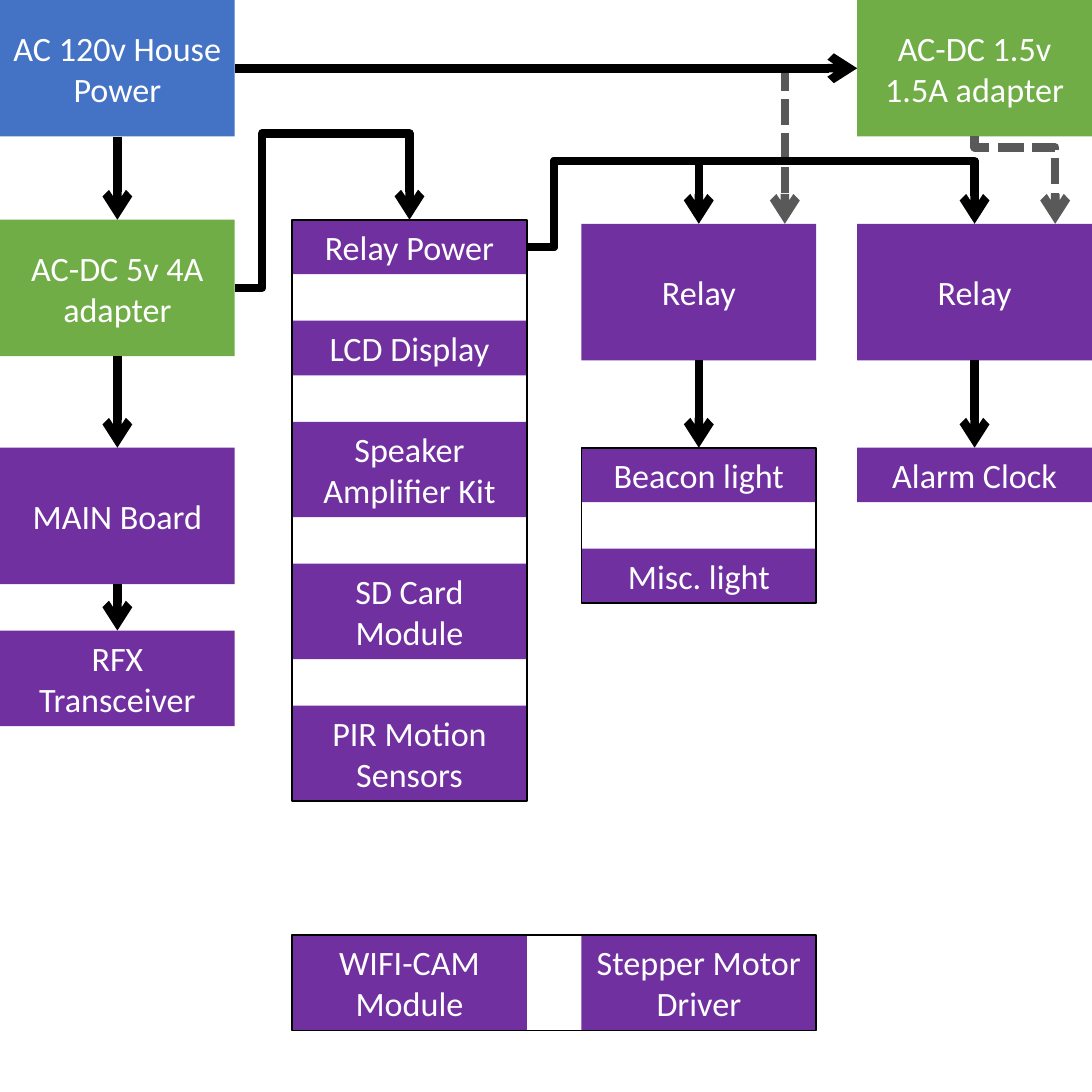
from lxml.etree import SubElement
from pptx import Presentation
from pptx.dml.color import RGBColor
from pptx.enum.dml import MSO_LINE
from pptx.enum.shapes import MSO_CONNECTOR, MSO_SHAPE
from pptx.enum.text import MSO_ANCHOR, MSO_AUTO_SIZE, PP_ALIGN
from pptx.oxml.ns import qn
from pptx.util import Inches, Pt

COLS = [0, 2.14, 4.26, 6.28]
BOX_W = 1.72
FULL, ONE_LINE, TWO_LINES = 1, 0.4, 0.7
GAP = 0.34
ADAPTER_ROW, RELAY_ROW, LOAD_ROW, RADIO_ROW, SPARE_ROW = 1.61, 1.64, 3.28, 4.62, 6.85
TOP, LEFT, BOTTOM, RIGHT = range(4)
BLUE, GREEN, PURPLE, BLACK, GREY, WHITE = (
    "4472C4", "70AD47", "7030A0", "000000", "595959", "FFFFFF")


def rgb(value):
    return RGBColor.from_string(value)


def add_rect(s, x, y, w, h):
    sp = s.shapes.add_shape(MSO_SHAPE.RECTANGLE, Inches(x), Inches(y), Inches(w), Inches(h))
    sp.shadow.inherit = False
    return sp


def add_box(s, text, col, y, h=FULL, fill=PURPLE):
    sp = add_rect(s, COLS[col], y, BOX_W, h)
    sp.fill.solid()
    sp.fill.fore_color.rgb = rgb(fill)
    sp.line.fill.background()
    tf = sp.text_frame
    tf.text = text
    tf.word_wrap = True
    tf.vertical_anchor = MSO_ANCHOR.MIDDLE
    tf.auto_size = MSO_AUTO_SIZE.NONE if h == FULL else MSO_AUTO_SIZE.SHAPE_TO_FIT_TEXT
    p = tf.paragraphs[0]
    p.alignment = PP_ALIGN.CENTER
    font = p.runs[0].font
    font.name, font.size, font.color.rgb = "Calibri", Pt(18), rgb(WHITE)
    return sp


def add_frame(s, x, y, w, h):
    sp = add_rect(s, x, y, w, h)
    sp.fill.background()
    sp.line.color.rgb = rgb(BLACK)
    sp.line.width = Pt(1)


def add_stack(s, col, top, items):
    """Boxes one under another at equal gaps inside a frame."""
    y, boxes = top, []
    for text, h in items:
        boxes.append(add_box(s, text, col, y, h))
        y += h + GAP
    add_frame(s, COLS[col], top, BOX_W, y - GAP - top)
    return boxes


def style_arrow(cxn, color=BLACK, dotted=False):
    cxn.line.color.rgb = rgb(color)
    cxn.line.width = Pt(4.5)
    if dotted:
        cxn.line.dash_style = MSO_LINE.SQUARE_DOT
    SubElement(cxn.line._get_or_add_ln(), qn("a:tailEnd"), type="arrow")
    SubElement(cxn._element.spPr, qn("a:effectLst"))


def set_bends(cxn, *shares):
    """Place the bends of an elbow at shares of its width, then height."""
    geom = cxn._element.spPr.find(qn("a:prstGeom"))
    geom.set("prst", f"bentConnector{len(shares) + 2}")
    guides = geom.find(qn("a:avLst"))
    if guides is None:
        guides = SubElement(geom, qn("a:avLst"))
    for i, share in enumerate(shares, 1):
        SubElement(guides, qn("a:gd"), name=f"adj{i}", fmla=f"val {round(share * 100000)}")


def link(s, start, end, sites=(BOTTOM, TOP), kind=MSO_CONNECTOR.STRAIGHT):
    cxn = s.shapes.add_connector(kind, 0, 0, 0, 0)
    cxn.begin_connect(start, sites[0])
    cxn.end_connect(end, sites[1])
    style_arrow(cxn)
    return cxn


def link_over(s, start, end, via_x, via_y):
    """Elbow from a right side, up and over into the top of another box."""
    cxn = link(s, start, end, (RIGHT, TOP), MSO_CONNECTOR.ELBOW)
    x, y = cxn.begin_x, cxn.begin_y
    set_bends(cxn, (Inches(via_x) - x) / (cxn.end_x - x), (Inches(via_y) - y) / (cxn.end_y - y))


def mains_feed(s, start, x, y):
    cxn = s.shapes.add_connector(MSO_CONNECTOR.ELBOW, 0, 0, Inches(x), Inches(y))
    cxn.begin_connect(start, RIGHT)
    set_bends(cxn, 1)
    style_arrow(cxn, GREY, dotted=True)


def adapter_feed(s, start, x, y, via_y):
    """Dotted elbow that leaves downwards: a quarter turn of a sideways one."""
    x0, y0 = start.left + start.width // 2, start.top + start.height
    w, h = Inches(x) - x0, Inches(y) - y0
    left, top = x0 + (w - h) // 2, y0 + (h - w) // 2
    cxn = s.shapes.add_connector(MSO_CONNECTOR.ELBOW, left, top, left + h, top + w)
    cxn.begin_connect(start, BOTTOM)
    cxn.left, cxn.top, cxn.width, cxn.height = left, top, h, w
    xfrm = cxn._element.spPr.find(qn("a:xfrm"))
    xfrm.set("rot", "16200000")
    xfrm.set("flipH", "1")
    xfrm.attrib.pop("flipV", None)
    set_bends(cxn, (Inches(via_y) - y0) / h)
    style_arrow(cxn, GREY, dotted=True)


def main():
    prs = Presentation()
    prs.slide_width = prs.slide_height = Inches(8)
    s = prs.slides.add_slide(prs.slide_layouts[6])

    house = add_box(s, "AC 120v House Power", 0, 0, fill=BLUE)
    adapter_5v = add_box(s, "AC-DC 5v 4A adapter", 0, ADAPTER_ROW, fill=GREEN)
    board = add_box(s, "MAIN Board", 0, LOAD_ROW)
    radio = add_box(s, "RFX Transceiver", 0, RADIO_ROW, TWO_LINES)
    adapter_1v5 = add_box(s, "AC-DC 1.5v 1.5A adapter", 3, 0, fill=GREEN)
    light_relay, clock_relay = (add_box(s, "Relay", col, RELAY_ROW) for col in (2, 3))
    clock = add_box(s, "Alarm Clock", 3, LOAD_ROW, ONE_LINE)

    relay_power = add_stack(s, 1, ADAPTER_ROW, [
        ("Relay Power", ONE_LINE), ("LCD Display", ONE_LINE),
        ("Speaker Amplifier Kit", TWO_LINES), ("SD Card Module", TWO_LINES),
        ("PIR Motion Sensors", TWO_LINES)])[0]
    beacon = add_stack(s, 2, LOAD_ROW, [("Beacon light", ONE_LINE), ("Misc. light", ONE_LINE)])[0]

    for col, text in ((1, "WIFI-CAM Module"), (2, "Stepper Motor Driver")):
        add_box(s, text, col, SPARE_ROW, TWO_LINES)
    add_frame(s, COLS[1], SPARE_ROW, COLS[2] + BOX_W - COLS[1], TWO_LINES)

    mains_feed(s, house, 5.75, RELAY_ROW)
    adapter_feed(s, adapter_1v5, 7.73, RELAY_ROW, 1.08)
    for start, end in ((house, adapter_5v), (adapter_5v, board), (board, radio),
                       (light_relay, beacon), (clock_relay, clock)):
        link(s, start, end)
    link(s, house, adapter_1v5, (RIGHT, LEFT))
    link_over(s, adapter_5v, relay_power, 1.92, 0.98)
    for relay in (light_relay, clock_relay):
        link_over(s, relay_power, relay, 4.06, 1.18)

    prs.save("out.pptx")


if __name__ == "__main__":
    main()
